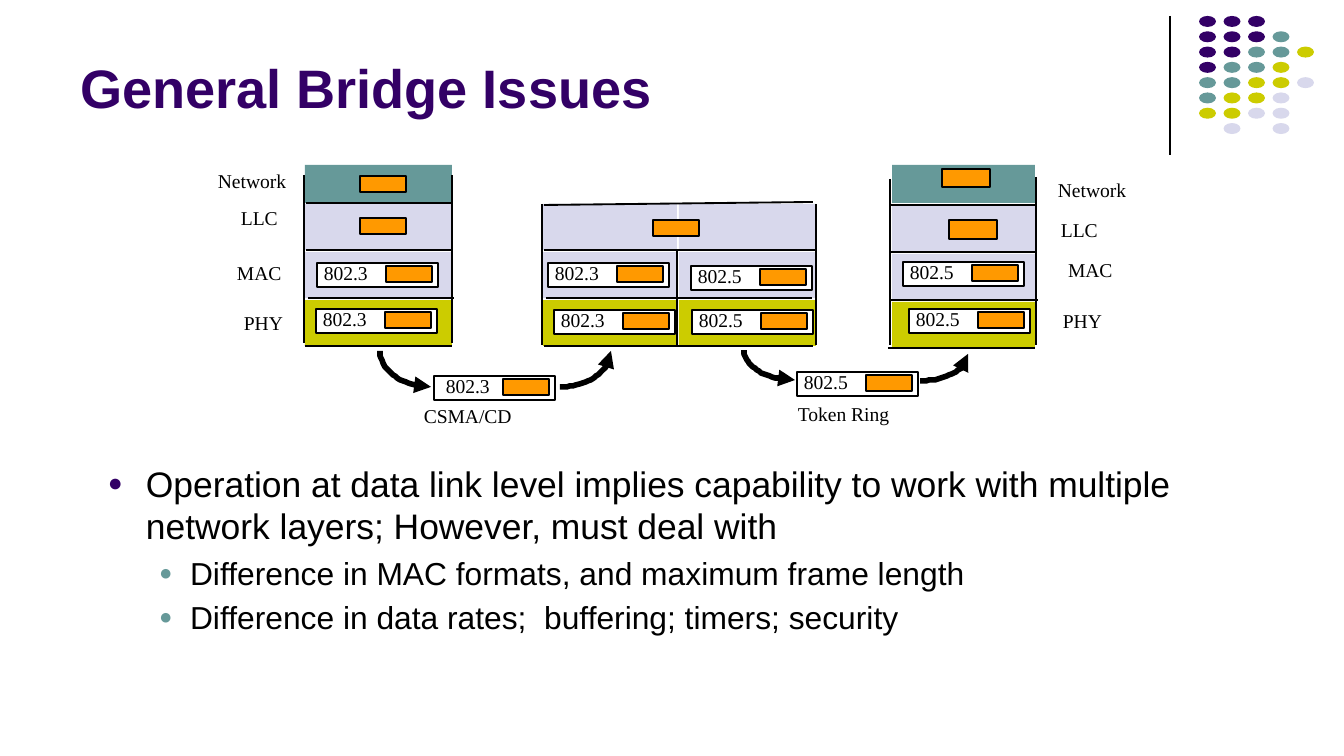
from math import cos, pi, sin

from lxml import etree
from pptx import Presentation, util as u
from pptx.dml.color import RGBColor
from pptx.enum import shapes, text
from pptx.oxml.ns import qn

SCALE = 914400 / 134.4
THEME = {
    "purple": RGBColor.from_string("330066"),
    "teal": RGBColor.from_string("669999"),
    "lime": RGBColor.from_string("CCCC00"),
    "lilac": RGBColor.from_string("D8D8EC"),
    "orange": RGBColor.from_string("FF9900"),
    "white": RGBColor.from_string("FFFFFF"),
    "black": RGBColor.from_string("000000"),
    "heading_font": "Arial",
    "label_font": "Times New Roman",
    "title_size": 29,
    "body_sizes": [19, 17],
    "label_size": 10.5,
}


def px(length):
    return u.Emu(round(length * SCALE))


def add_text(lines, left, top, width, height, size=THEME["label_size"], font=THEME["label_font"],
             color="black", bold=False, wrap=False, insets=(10, 5), anchor=text.MSO_ANCHOR.TOP, bullets=False):
    frame = slide.shapes.add_textbox(px(left), px(top), px(width), px(height)).text_frame
    frame.word_wrap = wrap
    frame.vertical_anchor = anchor
    frame.margin_left = frame.margin_right = px(insets[0])
    frame.margin_top = frame.margin_bottom = px(insets[1])
    for index, (level, words) in enumerate(lines):
        paragraph = frame.paragraphs[0] if index == 0 else frame.add_paragraph()
        if bullets:
            paragraph.level = level
            properties = paragraph._p.get_or_add_pPr()
            properties.set("marL", str(px((38, 82)[level])))
            properties.set("indent", str(px((-38, -31)[level])))
            bullet_color = etree.SubElement(properties, qn("a:buClr"))
            etree.SubElement(bullet_color, qn("a:srgbClr"), val=str(THEME[("purple", "teal")[level]]))
            etree.SubElement(properties, qn("a:buSzPct"), val="70000")
            etree.SubElement(properties, qn("a:buFont"), typeface=font)
            etree.SubElement(properties, qn("a:buChar"), char="●")
        if index:
            paragraph.space_before = u.Pt(3.5)
        run = paragraph.add_run()
        run.text = words
        run.font.size = u.Pt(THEME["body_sizes"][level] if bullets else size)
        run.font.name = font
        run.font.bold = bold
        run.font.color.rgb = THEME[color]


presentation = Presentation()
presentation.slide_width = px(1344)
presentation.slide_height = px(756)
slide = presentation.slides.add_slide(presentation.slide_layouts[6])

rectangle, oval = shapes.MSO_SHAPE.RECTANGLE, shapes.MSO_SHAPE.OVAL
dot_colors = {"P": "purple", "T": "teal", "Y": "lime", "L": "lilac"}
dot_rows = ["PPP", "PPPT", "PPTTY", "PTTY", "TTYYL", "TYYL", "YYLL", " L L"]
blocks = [
    (oval, 1199 + 24.5 * column, 16 + 15.3 * row, 17, 11, dot_colors[dot], False)
    for row, dots in enumerate(dot_rows)
    for column, dot in enumerate(dots) if dot != " "
]

layers = [("teal", 165, 38), ("lilac", 204, 46), ("lilac", 252, 46), ("lime", 300, 46)]
stacks = [(305, 147, 0, layers), (543, 134, 0, layers[1:]), (679, 137, 0, layers[1:]), (892, 143, 2, layers)]
for left, width, drop, stack_layers in stacks:
    for color, top, height in stack_layers:
        blocks.append((rectangle, left, top + drop * (color != "teal"), width, height, color, False))

for left, top, width, height in [(360, 176, 46, 16), (360, 218, 46, 16), (653, 220, 46, 16),
                                 (942, 169, 48, 18), (949, 220, 48, 19)]:
    blocks.append((rectangle, left, top, width, height, "orange", True))

frames = [
    ("802.3", 317, 263, -3), ("802.3", 316, 309, -3), ("802.3", 548, 263, -3), ("802.3", 554, 310, -3),
    ("802.5", 691, 266, -3), ("802.5", 692, 310, -3), ("802.5", 903, 262, -3), ("802.5", 909, 309, -3),
    ("802.3", 434, 376, 2), ("802.5", 797, 372, -3),
]
for protocol, left, top, shift in frames:
    blocks.append((rectangle, left, top, 121, 24, "white", True))
    blocks.append((rectangle, left + 69, top + 3, 46, 16, "orange", True))

for kind, left, top, width, height, color, outlined in blocks:
    shape = slide.shapes.add_shape(kind, px(left), px(top), px(width), px(height))
    shape.shadow.inherit = False
    shape.fill.solid()
    shape.fill.fore_color.rgb = THEME[color]
    if outlined:
        shape.line.color.rgb = THEME["black"]
        shape.line.width = u.Pt(1)
    else:
        shape.line.fill.background()

rules = [
    (1170, 16, 1170, 155),
    (304, 175, 304, 343), (452, 175, 452, 343), (306, 203, 453, 203),
    (306, 250, 453, 250), (308, 298, 454, 298), (305, 346, 452, 346),
    (542, 204, 542, 345), (816, 204, 816, 345), (677, 251, 677, 347), (544, 205, 813, 202),
    (544, 250, 816, 250), (546, 298, 812, 298), (544, 346, 813, 346),
    (890, 179, 890, 345), (1036, 177, 1036, 345), (890, 205, 1036, 205),
    (890, 252, 1036, 252), (891, 300, 1038, 300), (888, 348, 1035, 348),
]
for index, (x1, y1, x2, y2) in enumerate(rules):
    connector = slide.shapes.add_connector(shapes.MSO_CONNECTOR.STRAIGHT, px(x1), px(y1), px(x2), px(y2))
    connector.line.color.rgb = THEME["black"]
    connector.line.width = u.Pt(1 if index else 0.75)
    etree.SubElement(connector._element.spPr, qn("a:effectLst"))

steps = 24
for left, top, width, height, rising in [(380, 351, 51, 36, False), (560, 351, 51, 36, True),
                                         (744, 350, 51, 30, False), (920, 354, 48, 27, True)]:
    angles = [pi / 2 * step / steps for step in range(steps + 1)]
    if rising:
        points = [(left + width * sin(a), top + height * cos(a)) for a in angles]
    else:
        points = [(left + width * (1 - cos(a)), top + height * sin(a)) for a in angles]
    builder = slide.shapes.build_freeform(*points[0], scale=SCALE)
    builder.add_line_segments(points[1:], close=False)
    arrow = builder.convert_to_shape()
    arrow.shadow.inherit = False
    arrow.fill.background()
    arrow.line.color.rgb = THEME["black"]
    arrow.line.width = u.Pt(3)
    etree.SubElement(arrow.line._get_or_add_ln(), qn("a:tailEnd"), type="triangle")

labels = [
    ("Network", 208, 164, 89), ("LLC", 231, 201, 58), ("MAC", 227, 256, 66), ("PHY", 234, 306, 60),
    ("Network", 1048, 173, 89), ("LLC", 1051, 213, 58), ("MAC", 1058, 253, 66), ("PHY", 1053, 304, 60),
    ("CSMA/CD", 414, 399, 109), ("Token Ring", 788, 397, 114),
]
labels += [(protocol, left + shift, top - 7, 65) for protocol, left, top, shift in frames]
for words, left, top, width in labels:
    add_text([(0, words)], left, top, width, 34)

add_text([(0, "General Bridge Issues")], 67, 13, 1109, 113, size=THEME["title_size"], font=THEME["heading_font"],
         color="purple", bold=True, wrap=True, insets=(13, 7), anchor=text.MSO_ANCHOR.BOTTOM)
add_text([
    (0, "Operation at data link level implies capability to work with multiple network layers; "
        "However, must deal with"),
    (1, "Difference in MAC formats, and maximum frame length"),
    (1, "Difference in data rates;  buffering; timers; security"),
], 98, 457, 1120, 194, font=THEME["heading_font"], wrap=True, bullets=True)

presentation.save("out.pptx")
